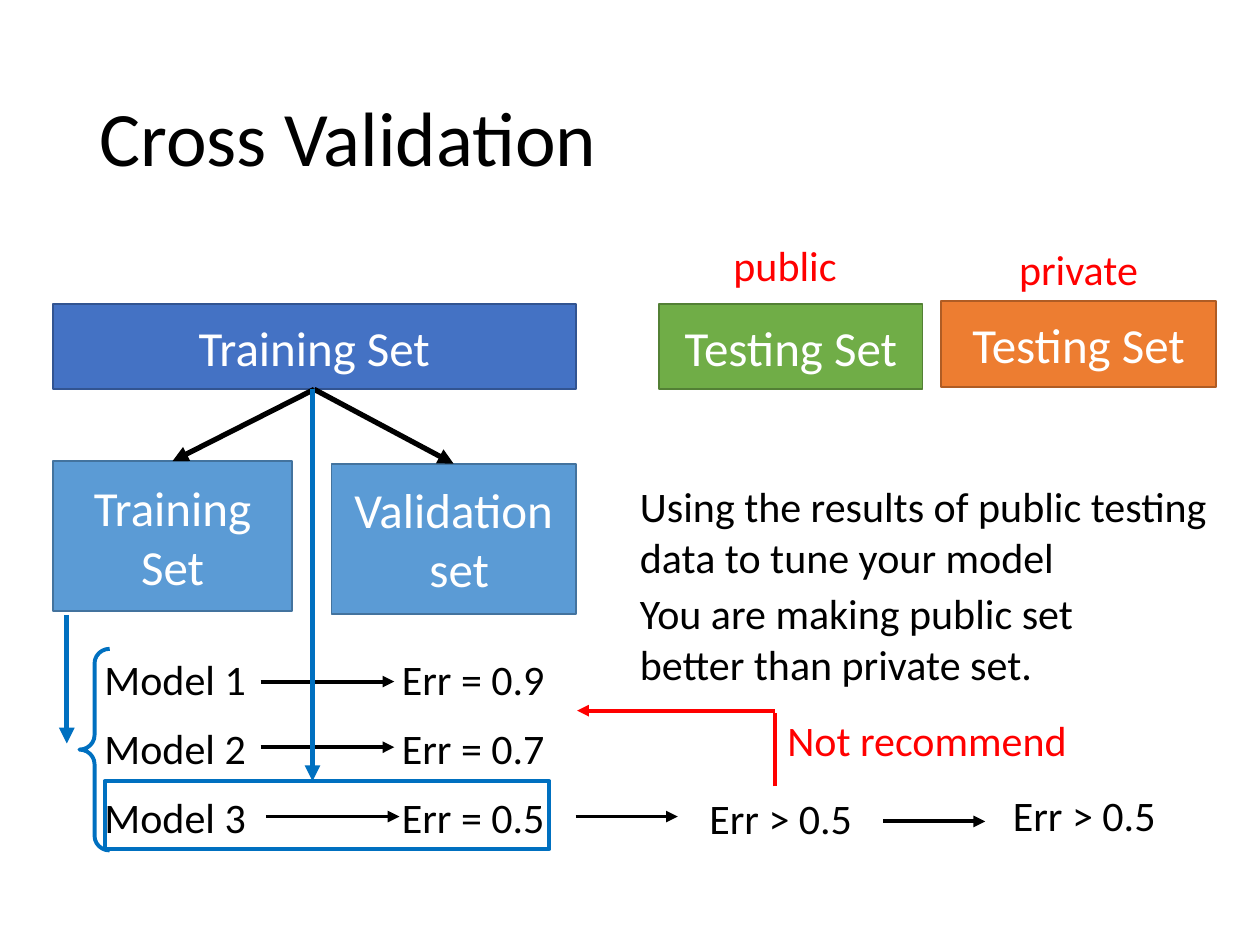
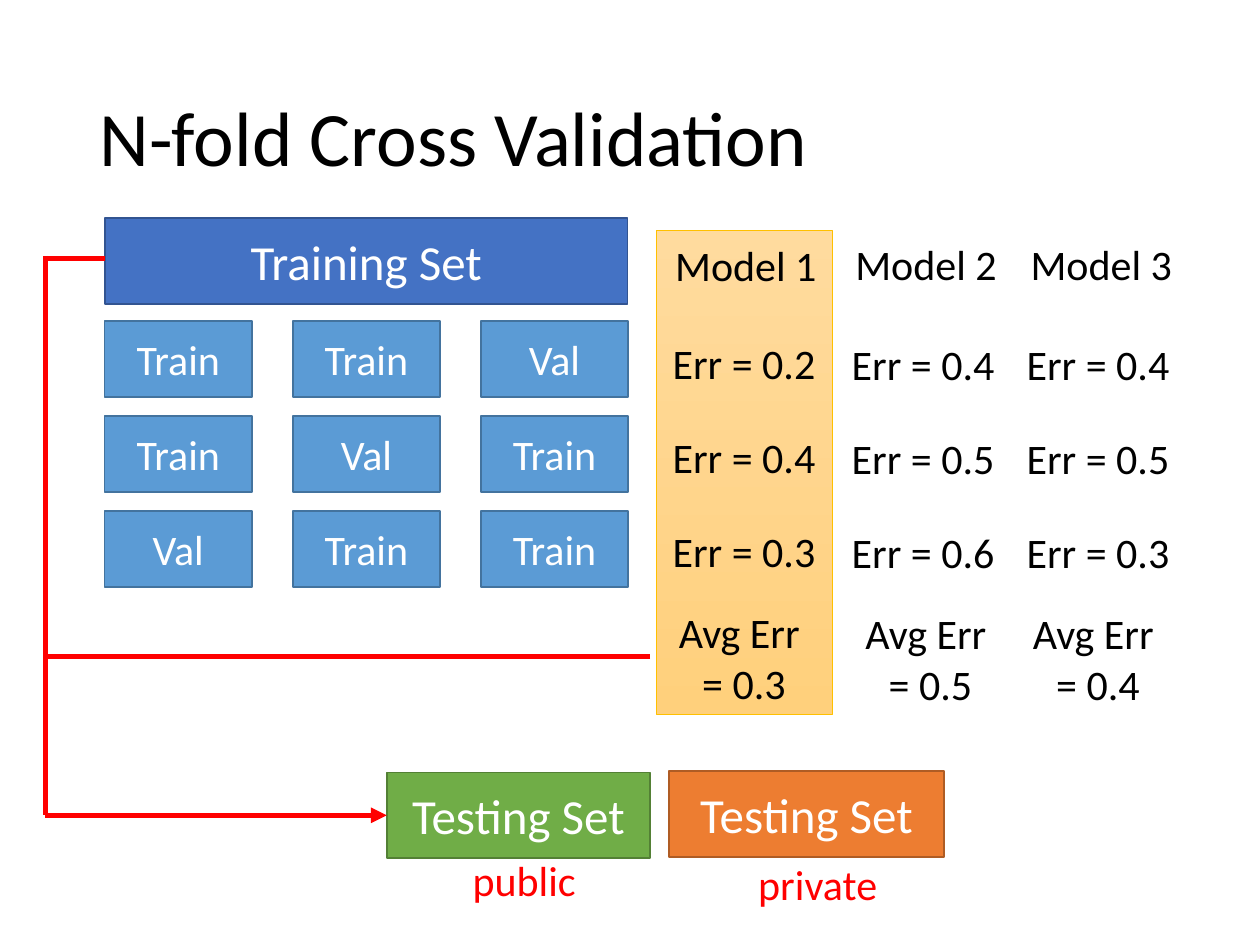
"""Build two slides on cross validation and N-fold cross validation."""
import pptx
import pptx.util
import pptx.dml.color
import pptx.enum.shapes
import pptx.enum.text
import pptx.oxml

Pt = pptx.util.Pt
RGBColor = pptx.dml.color.RGBColor
MSO_SHAPE = pptx.enum.shapes.MSO_SHAPE
PP_ALIGN = pptx.enum.text.PP_ALIGN
MSO_ANCHOR = pptx.enum.text.MSO_ANCHOR

BLACK = RGBColor(0x00, 0x00, 0x00)
WHITE = RGBColor(0xFF, 0xFF, 0xFF)
RED = RGBColor(0xFF, 0x00, 0x00)
BRIGHT_BLUE = RGBColor(0x00, 0x70, 0xC0)
BLUE = RGBColor(0x44, 0x72, 0xC4)
BLUE_EDGE = RGBColor(0x32, 0x54, 0x91)
LIGHT_BLUE = RGBColor(0x5B, 0x9B, 0xD5)
LIGHT_BLUE_EDGE = RGBColor(0x43, 0x73, 0x9E)
GREEN = RGBColor(0x70, 0xAD, 0x47)
GREEN_EDGE = RGBColor(0x53, 0x80, 0x35)
ORANGE = RGBColor(0xED, 0x7D, 0x31)
ORANGE_EDGE = RGBColor(0xAF, 0x5C, 0x24)
GOLD = RGBColor(0xFF, 0xC0, 0x00)
CREAM = RGBColor(0xFF, 0xDB, 0x9E)
APRICOT = RGBColor(0xFF, 0xD0, 0x7C)

CENTER = {"alignment": PP_ALIGN.CENTER}
TITLE = {"alignment": PP_ALIGN.LEFT, "line_spacing": 0.9}
TITLE_BOX = (49.7, 28.8, 620.6, 104.4)
TRAINING = {"size": 28, "color": WHITE, "fill": BLUE, "edge": BLUE_EDGE, "layout": CENTER}
SUBSET = {**TRAINING, "fill": LIGHT_BLUE, "edge": LIGHT_BLUE_EDGE}
FOLD = {**SUBSET, "size": 24}
PUBLIC = {**TRAINING, "fill": GREEN, "edge": GREEN_EDGE}
PRIVATE = {**TRAINING, "fill": ORANGE, "edge": ORANGE_EDGE}
LABEL = {"color": RED, "layout": CENTER}


def add_box(slide, text, box, size=24, color=BLACK, layout=None, fill=None, edge=None,
            edge_width=1, preset=MSO_SHAPE.RECTANGLE, anchor=MSO_ANCHOR.MIDDLE):
    position = [Pt(length) for length in box]
    if edge is None:
        shape = slide.shapes.add_textbox(*position)
    else:
        shape = slide.shapes.add_shape(preset, *position)
        shape.shadow.inherit = False
        shape.line.color.rgb = edge
        shape.line.width = Pt(edge_width)
        if fill is None:
            shape.fill.background()
        else:
            shape.fill.solid()
            shape.fill.fore_color.rgb = fill
    if text:
        frame = shape.text_frame
        frame.text = text
        frame.word_wrap = True
        frame.vertical_anchor = anchor
        for paragraph in frame.paragraphs:
            for name, value in (layout or {}).items():
                setattr(paragraph, name, value)
            for name, value in {"name": "Calibri", "size": Pt(size)}.items():
                setattr(paragraph.font, name, value)
            paragraph.font.color.rgb = color
    return shape


def add_line(slide, start, end, color=BLACK, width=2.25, arrow=True):
    line = slide.shapes.add_connector(
        pptx.enum.shapes.MSO_CONNECTOR.STRAIGHT, *[Pt(length) for length in (*start, *end)])
    line.line.color.rgb = color
    line.line.width = Pt(width)
    namespace = 'xmlns:a="http://schemas.openxmlformats.org/drawingml/2006/main"'
    if arrow:
        line.line._get_or_add_ln().append(
            pptx.oxml.parse_xml(f'<a:tailEnd {namespace} type="triangle"/>'))
    line._element.spPr.append(pptx.oxml.parse_xml(f"<a:effectLst {namespace}/>"))
    return line


presentation = pptx.Presentation()
presentation.slide_width = Pt(720)
presentation.slide_height = Pt(540)
blank = presentation.slide_layouts[6]

slide = presentation.slides.add_slide(blank)
add_box(slide, "Cross Validation", TITLE_BOX, size=44, layout=TITLE)
training_set = add_box(slide, "Training Set", (30.2, 173.5, 298.8, 49), **TRAINING)
add_box(slide, "Testing Set", (376.6, 173.5, 150.5, 49), **PUBLIC)
add_box(slide, "Testing Set", (537.8, 172.1, 157, 49), **PRIVATE)
add_box(slide, "public", (376.6, 133.2, 144, 36), **LABEL)
add_box(slide, "private", (544.3, 135.4, 144, 36), **LABEL)

for text, box in (("Training Set", (30.2, 263.5, 136.8, 85.7)),
                  ("Validation\n set", (189.4, 265, 139.7, 85.7))):
    subset = add_box(slide, text, box, **SUBSET)
    branch = add_line(slide, (179.6, 222.5), (box[0] + box[2] / 2, box[1]), width=3)
    branch.begin_connect(training_set, 2)
    branch.end_connect(subset, 0)

models = (("0.9", 149, 389.5), ("0.7", 149, 427), ("0.5", 152, 466.6))
for row, (error, arrow_left, arrow_top) in enumerate(models):
    top = 370.1 + 39.25 * row
    add_box(slide, f"Model {row + 1}", (52.6, top, 99.4, 36))
    add_box(slide, f"Err = {error}", (222.5, top, 107.3, 36))
    add_line(slide, (arrow_left, arrow_top), (arrow_left + 76.3, arrow_top))

for arrow_left, arrow_top, text_left, text_top in (
        (329, 466.6, 398.2, 449.3), (504.7, 469.4, 571.7, 447.8)):
    add_line(slide, (arrow_left, arrow_top), (arrow_left + 58.3, arrow_top))
    add_box(slide, "Err > 0.5", (text_left, text_top, 107.3, 36))

brace = add_box(slide, "", (45.4, 370.8, 17.3, 115.2), edge=BRIGHT_BLUE, edge_width=2.25,
                preset=MSO_SHAPE.LEFT_BRACE)
brace.adjustments[0] = 0.48
add_line(slide, (38.2, 351.4), (38.2, 424.8), BRIGHT_BLUE, 3)
add_box(slide, "", (59.8, 446.4, 254.2, 38.9), edge=BRIGHT_BLUE, edge_width=2.25)
add_line(slide, (178.6, 222.5), (178.6, 446.4), BRIGHT_BLUE, 3)
add_line(slide, (442.8, 449.3), (442.8, 407.5), RED, arrow=False)
add_line(slide, (442.8, 406.1), (329.8, 406.1), RED)
add_box(slide, "Using the results of public testing data to tune your model",
        (358.6, 270.7, 346.3, 65.5))
add_box(slide, "You are making public set better than private set.",
        (358.6, 331.9, 293.8, 65.5))
add_box(slide, "Not recommend", (442.8, 404.6, 198, 36), color=RED)

slide = presentation.slides.add_slide(blank)
best_model = add_box(slide, "", (375.1, 131.8, 100.8, 276.5), edge=GOLD, edge_width=0.5)
best_model.fill.gradient()
best_model.fill.gradient_angle = 270
for stop, color in zip(best_model.fill.gradient_stops, (CREAM, APRICOT)):
    stop.color.rgb = color
add_box(slide, "N-fold Cross Validation", TITLE_BOX, size=44, layout=TITLE)
add_box(slide, "Training Set", (59.8, 124.6, 298.8, 49), **TRAINING)

for row in range(3):
    for column in range(3):
        text = "Val" if row + column == 2 else "Train"
        add_box(slide, text, (59.8 + 107.5 * column, 183.6 + 54.3 * row, 84.2, 43.2), **FOLD)

results = (
    ("Model 1", 378.7, 133.2, 371.5, 189.4, ("0.2", "0.4", "0.3"), 371.5, "0.3"),
    ("Model 2", 481.7, 132.5, 473.8, 190.1, ("0.4", "0.5", "0.6"), 478.1, "0.5"),
    ("Model 3", 581.8, 132.5, 573.8, 190.1, ("0.4", "0.5", "0.3"), 573.8, "0.4"),
)
for model, model_left, model_top, error_left, error_top, errors, average_left, average in results:
    add_box(slide, model, (model_left, model_top, 99.4, 36))
    for row, error in enumerate(errors):
        add_box(slide, f"Err = {error}", (error_left, error_top + 53.6 * row, 107.3, 36),
                layout=CENTER)
    add_box(slide, f"Avg Err \n= {average}", (average_left, error_top + 153.3, 107.3, 65.5),
            layout=CENTER)

public_set = add_box(slide, "Testing Set", (221, 441.4, 150.5, 49), **PUBLIC)
add_box(slide, "Testing Set", (382.3, 440.6, 157, 49), **PRIVATE)
add_box(slide, "public", (227.5, 484.6, 144, 36), **LABEL)
add_box(slide, "private", (395.3, 486.7, 144, 36), **LABEL)
for start, end in (((25.9, 146.2), (25.9, 465.9)),
                   ((371.5, 375.1), (25.9, 375.1)),
                   ((59.8, 147.6), (25.9, 147.6))):
    add_line(slide, start, end, RED, 3, arrow=False)
retrained = add_line(slide, (25.9, 465.9), (221, 465.9), RED, 3)
retrained.end_connect(public_set, 1)

presentation.save("out.pptx")
